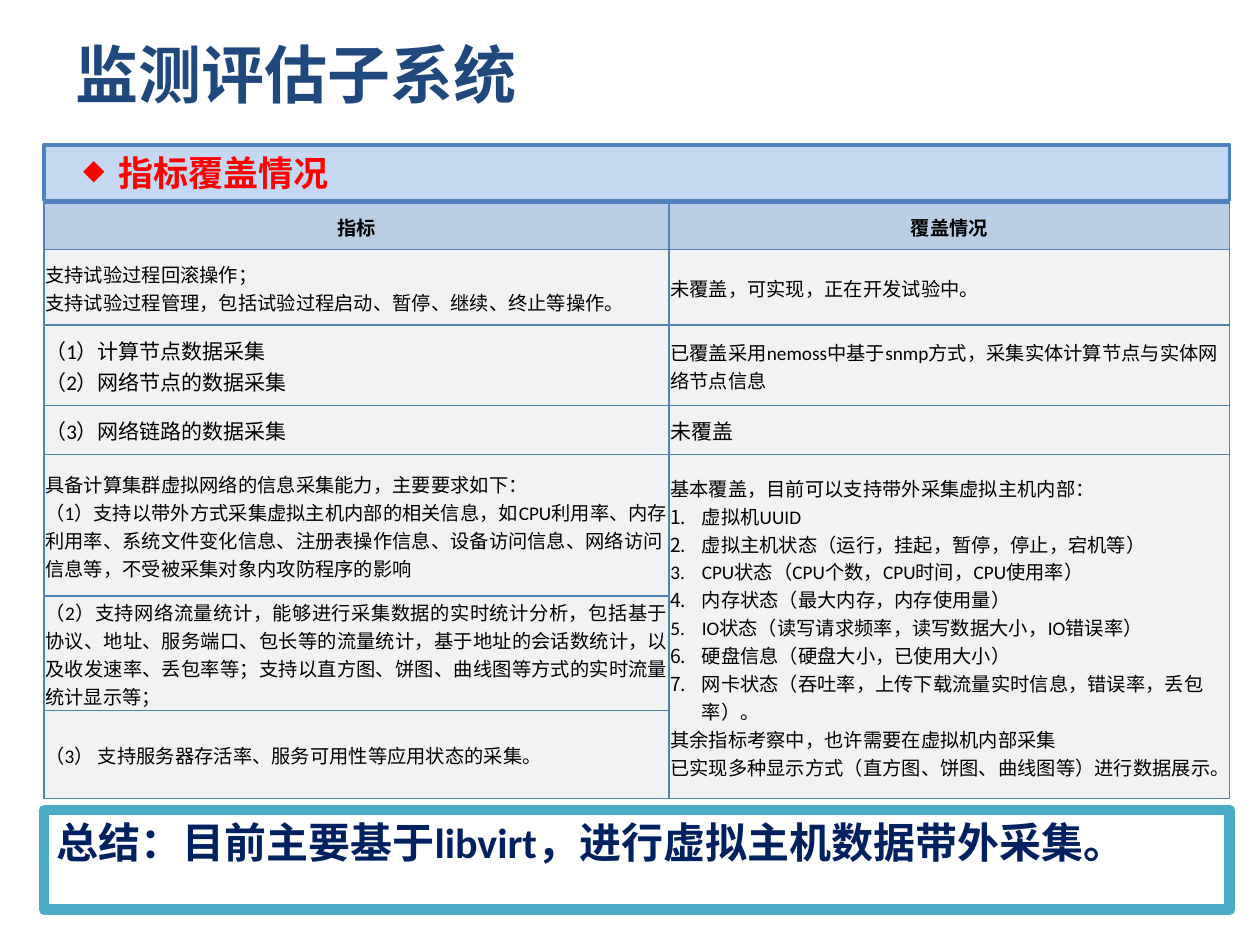
from lxml import etree
from pptx import Presentation
from pptx.dml.color import RGBColor
from pptx.enum.shapes import MSO_SHAPE
from pptx.enum.text import MSO_ANCHOR, PP_ALIGN
from pptx.oxml.ns import qn
from pptx.util import Inches, Pt

RECT = MSO_SHAPE.RECTANGLE
TOP, MIDDLE = MSO_ANCHOR.TOP, MSO_ANCHOR.MIDDLE
LEFT, CENTER, JUSTIFY = PP_ALIGN.LEFT, PP_ALIGN.CENTER, PP_ALIGN.JUSTIFY

TITLE_BLUE = RGBColor(0x1F, 0x49, 0x7D)
NAVY = RGBColor(0x00, 0x20, 0x60)
RED = RGBColor(0xFF, 0x00, 0x00)
BLACK = RGBColor(0x00, 0x00, 0x00)
WHITE = RGBColor(0xFF, 0xFF, 0xFF)
TEAL = RGBColor(0x4B, 0xAC, 0xC6)
BLUE = RGBColor(0x4F, 0x81, 0xBD)
PALE_BLUE = RGBColor(0xC5, 0xD8, 0xF1)
HEADER_FILL = RGBColor(0xB9, 0xCD, 0xE5)
CELL_FILL = RGBColor(0xF2, 0xF2, 0xF2)

LATIN, CJK = "Calibri", "Noto Sans CJK SC"
X, WIDTH = 0.35, 9.41
COLUMNS = [4.96, 4.45]
ROWS = [0.37, 0.6, 0.64, 0.39, 1.12, 0.91, 0.7]

HEADERS = ["指标", "覆盖情况"]
METRICS = [
    (["支持试验过程回滚操作；",
      "支持试验过程管理，包括试验过程启动、暂停、继续、终止等操作。"], 11, LEFT),
    (["（1）计算节点数据采集", "（2）网络节点的数据采集"], 12, JUSTIFY),
    (["（3）网络链路的数据采集"], 12, JUSTIFY),
    (["具备计算集群虚拟网络的信息采集能力，主要要求如下：",
      "（1）支持以带外方式采集虚拟主机内部的相关信息，如CPU利用率、内存利用率、"
      "系统文件变化信息、注册表操作信息、设备访问信息、网络访问信息等，"
      "不受被采集对象内攻防程序的影响"], 11, LEFT),
    (["（2）支持网络流量统计，能够进行采集数据的实时统计分析，包括基于协议、地址、"
      "服务端口、包长等的流量统计，基于地址的会话数统计，以及收发速率、丢包率等；"
      "支持以直方图、饼图、曲线图等方式的实时流量统计显示等；"], 11, JUSTIFY),
    (["（3） 支持服务器存活率、服务可用性等应用状态的采集。"], 11, JUSTIFY),
]
COVERAGE = [
    (["未覆盖，可实现，正在开发试验中。"], 11, LEFT),
    (["已覆盖采用nemoss中基于snmp方式，采集实体计算节点与实体网络节点信息"], 11, LEFT),
    (["未覆盖"], 12, JUSTIFY),
]
COVERED_INTRO = "基本覆盖，目前可以支持带外采集虚拟主机内部："
COVERED_ITEMS = [
    "虚拟机UUID",
    "虚拟主机状态（运行，挂起，暂停，停止，宕机等）",
    "CPU状态（CPU个数，CPU时间，CPU使用率）",
    "内存状态（最大内存，内存使用量）",
    "IO状态（读写请求频率，读写数据大小，IO错误率）",
    "硬盘信息（硬盘大小，已使用大小）",
    "网卡状态（吞吐率，上传下载流量实时信息，错误率，丢包率）。",
]
COVERED_NOTES = [
    "其余指标考察中，也许需要在虚拟机内部采集",
    "已实现多种显示方式（直方图、饼图、曲线图等）进行数据展示。",
]


class Deck:
    def __init__(self):
        self.prs = Presentation()
        self.prs.slide_width, self.prs.slide_height = Inches(10), Inches(7.5)
        self.s = self.prs.slides.add_slide(self.prs.slide_layouts[5])

    def add_text(self, tf, lines, size, color, bold=False, align=LEFT, font=LATIN):
        tf.word_wrap = True
        for i, line in enumerate(lines):
            p = tf.paragraphs[0] if i == 0 else tf.add_paragraph()
            p.alignment = align
            r = p.add_run()
            r.text = line
            r.font.size, r.font.bold, r.font.name = Pt(size), bold, font
            r.font.color.rgb = color
            etree.SubElement(r._r.get_or_add_rPr(), qn("a:ea"), typeface=CJK)

    def bullet(self, p, indent, tag, **attrs):
        pPr = p._p.get_or_add_pPr()
        pPr.set("marL", str(Inches(indent)))
        pPr.set("indent", str(-Inches(indent)))
        etree.SubElement(pPr, qn(tag), **attrs)

    def title(self, text):
        sp = self.s.shapes.title
        sp.left, sp.top = Inches(0.5), Inches(0.13)
        sp.width, sp.height = Inches(9), Inches(0.91)
        sp.text_frame.vertical_anchor = MIDDLE
        self.add_text(sp.text_frame, [text], 36, TITLE_BLUE, True, font=CJK)

    def box(self, top, height, fill, line, weight, anchor):
        sp = self.s.shapes.add_shape(RECT, Inches(X), Inches(top), Inches(WIDTH), Inches(height))
        sp.shadow.inherit = False
        sp.fill.solid()
        sp.fill.fore_color.rgb = fill
        sp.line.color.rgb = line
        sp.line.width = Pt(weight)
        sp.text_frame.vertical_anchor = anchor
        return sp.text_frame

    def table(self, top):
        table = self.s.shapes.add_table(
            len(ROWS), len(COLUMNS), Inches(X), Inches(top), Inches(WIDTH), Inches(sum(ROWS))).table
        table.horz_banding = False
        for column, width in zip(table.columns, COLUMNS):
            column.width = Inches(width)
        for i, (row, height) in enumerate(zip(table.rows, ROWS)):
            row.height = Inches(height)
            for cell in row.cells:
                self.style_cell(cell, CELL_FILL if i else HEADER_FILL)
        return table

    def style_cell(self, cell, fill):
        cell.margin_left = cell.margin_right = cell.margin_top = Inches(0.01)
        cell.margin_bottom = 0
        cell.vertical_anchor = MIDDLE
        for side in ("lnL", "lnR", "lnT", "lnB"):
            ln = etree.SubElement(cell._tc.get_or_add_tcPr(), qn(f"a:{side}"), w=str(Pt(1)))
            solid = etree.SubElement(ln, qn("a:solidFill"))
            etree.SubElement(solid, qn("a:srgbClr"), val=str(BLUE))
        cell.fill.solid()
        cell.fill.fore_color.rgb = fill


def main():
    deck = Deck()
    deck.title("监测评估子系统")

    tf = deck.box(6.43, 0.79, WHITE, TEAL, 6, TOP)
    deck.add_text(tf, ["总结：目前主要基于libvirt，进行虚拟主机数据带外采集。"], 24, NAVY, True)

    tf = deck.box(1.15, 0.44, PALE_BLUE, BLUE, 2, MIDDLE)
    tf.margin_left = Inches(0.31)
    deck.add_text(tf, ["指标覆盖情况"], 20, RED, True, JUSTIFY, CJK)
    p = tf.paragraphs[0]
    etree.SubElement(p._p.get_or_add_pPr(), qn("a:buSzPct"), val="80000")
    deck.bullet(p, 0.28, "a:buChar", char="◆")

    table = deck.table(1.61)
    for col, text in enumerate(HEADERS):
        deck.add_text(table.cell(0, col).text_frame, [text], 11, BLACK, True, CENTER)
    for col, entries in enumerate((METRICS, COVERAGE)):
        for row, (lines, size, align) in enumerate(entries, 1):
            deck.add_text(table.cell(row, col).text_frame, lines, size, BLACK, align=align)

    covered = table.cell(4, 1)
    covered.merge(table.cell(6, 1))
    tf = covered.text_frame
    deck.add_text(tf, [COVERED_INTRO, *COVERED_ITEMS, *COVERED_NOTES], 11, BLACK)
    for p in tf.paragraphs[1:1 + len(COVERED_ITEMS)]:
        deck.bullet(p, 0.25, "a:buAutoNum", type="arabicPeriod")

    deck.prs.save("out.pptx")


if __name__ == "__main__":
    main()
